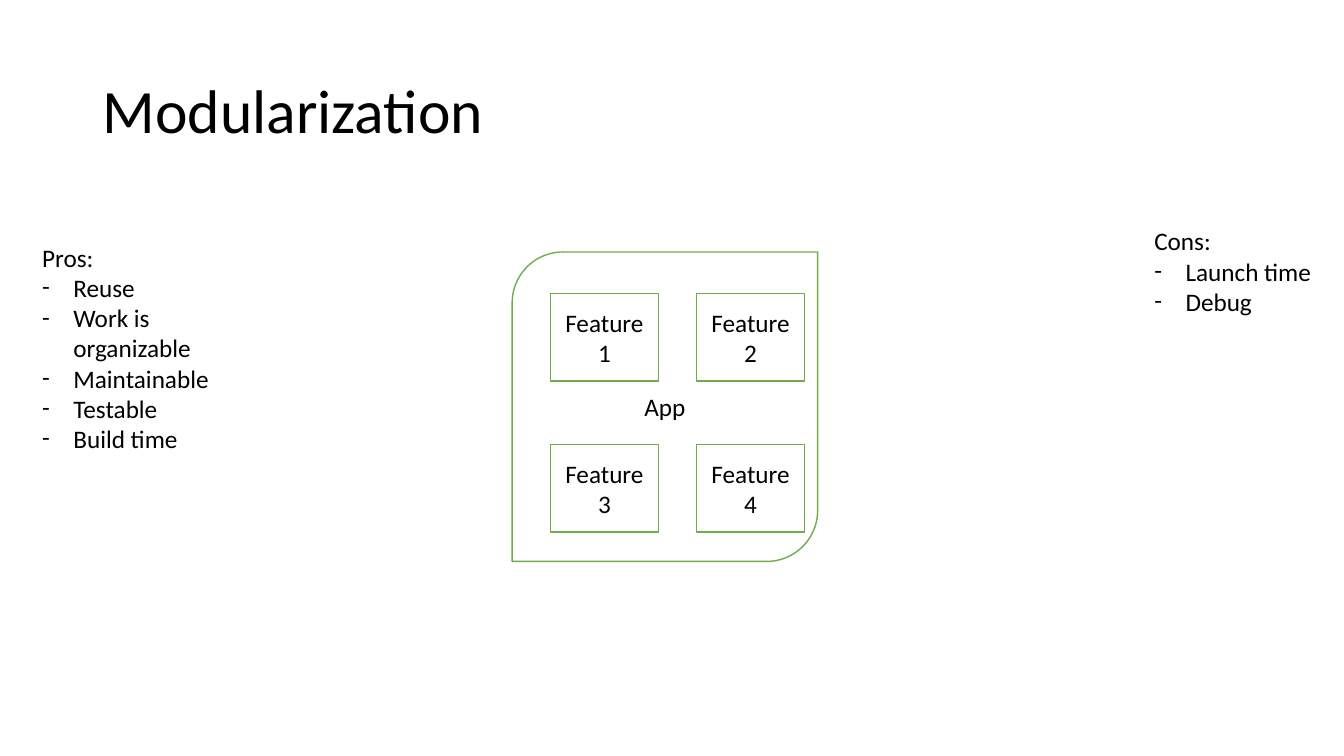
import pptx
import pptx.util
import pptx.dml.color
import pptx.enum.shapes
import pptx.enum.text
import pptx.oxml.ns
import lxml.etree

Inches = pptx.util.Inches
Shape = pptx.enum.shapes.MSO_SHAPE
Align = pptx.enum.text.PP_ALIGN
Anchor = pptx.enum.text.MSO_ANCHOR

COLORS = {"text": "000000", "fill": "FFFFFF", "line": "70AD47"}
FONT = "Calibri"
TITLE = "Modularization"
APP = ("App", (5.08, 2.5, 3.03, 3.07))
FEATURES = ["Feature 1", "Feature 2", "Feature 3", "Feature 4"]
LISTS = [
    ("Pros:", ["Reuse", "Work is organizable", "Maintainable", "Testable", "Build time"],
     (0.32, 2.35, 2.1, 2.22), True),
    ("Cons:", ["Launch time", "Debug"], (11.35, 2.19, 1.78, 1.01), False),
]
GRID_LEFT, GRID_TOP = 5.46, 2.91
STEP_X, STEP_Y = 1.45, 1.5
FEATURE_WIDTH, FEATURE_HEIGHT = 1.07, 0.87
INDENT = 0.31


def rgb(name):
    return pptx.dml.color.RGBColor.from_string(COLORS[name])


def style(paragraph, size=18):
    paragraph.font.name = FONT
    paragraph.font.size = pptx.util.Pt(size)
    paragraph.font.color.rgb = rgb("text")


def add_box(slide, preset, text, place):
    shape = slide.shapes.add_shape(preset, *map(Inches, place))
    shape.shadow.inherit = False
    shape.fill.solid()
    shape.fill.fore_color.rgb = rgb("fill")
    shape.line.color.rgb = rgb("line")
    shape.line.width = pptx.util.Pt(1)
    frame = shape.text_frame
    frame.word_wrap = True
    frame.vertical_anchor = Anchor.MIDDLE
    paragraph = frame.paragraphs[0]
    paragraph.text = text
    paragraph.alignment = Align.CENTER
    style(paragraph)


def add_dash(paragraph):
    properties = paragraph._p.get_or_add_pPr()
    properties.set("marL", str(Inches(INDENT)))
    properties.set("indent", str(-Inches(INDENT)))
    for tag, key, value in (("a:buFont", "typeface", FONT), ("a:buChar", "char", "-")):
        bullet = lxml.etree.Element(pptx.oxml.ns.qn(tag))
        bullet.set(key, value)
        properties.insert_element_before(bullet, "a:tabLst", "a:defRPr", "a:extLst")


def add_list(slide, heading, items, place, wrap):
    frame = slide.shapes.add_textbox(*map(Inches, place)).text_frame
    frame.word_wrap = wrap
    frame.auto_size = pptx.enum.text.MSO_AUTO_SIZE.SHAPE_TO_FIT_TEXT
    frame.text = "\n".join([heading] + items)
    for paragraph in frame.paragraphs:
        style(paragraph)
    for paragraph in frame.paragraphs[1:]:
        add_dash(paragraph)


def add_title(slide):
    place = (0.92, 0.4, 11.5, 1.45)
    frame = slide.shapes.add_textbox(*map(Inches, place)).text_frame
    frame.word_wrap = True
    frame.vertical_anchor = Anchor.MIDDLE
    paragraph = frame.paragraphs[0]
    paragraph.text = TITLE
    paragraph.line_spacing = 0.9
    style(paragraph, 44)


def main():
    presentation = pptx.Presentation()
    presentation.slide_width = Inches(13.33)
    presentation.slide_height = Inches(7.5)
    slide = presentation.slides.add_slide(presentation.slide_layouts[6])
    add_title(slide)
    add_box(slide, Shape.ROUND_2_DIAG_RECTANGLE, *APP)
    for index, feature in enumerate(FEATURES):
        row, column = divmod(index, 2)
        place = (GRID_LEFT + column * STEP_X, GRID_TOP + row * STEP_Y,
                 FEATURE_WIDTH, FEATURE_HEIGHT)
        add_box(slide, Shape.RECTANGLE, feature, place)
    for entry in LISTS:
        add_list(slide, *entry)
    presentation.save("out.pptx")


if __name__ == "__main__":
    main()
